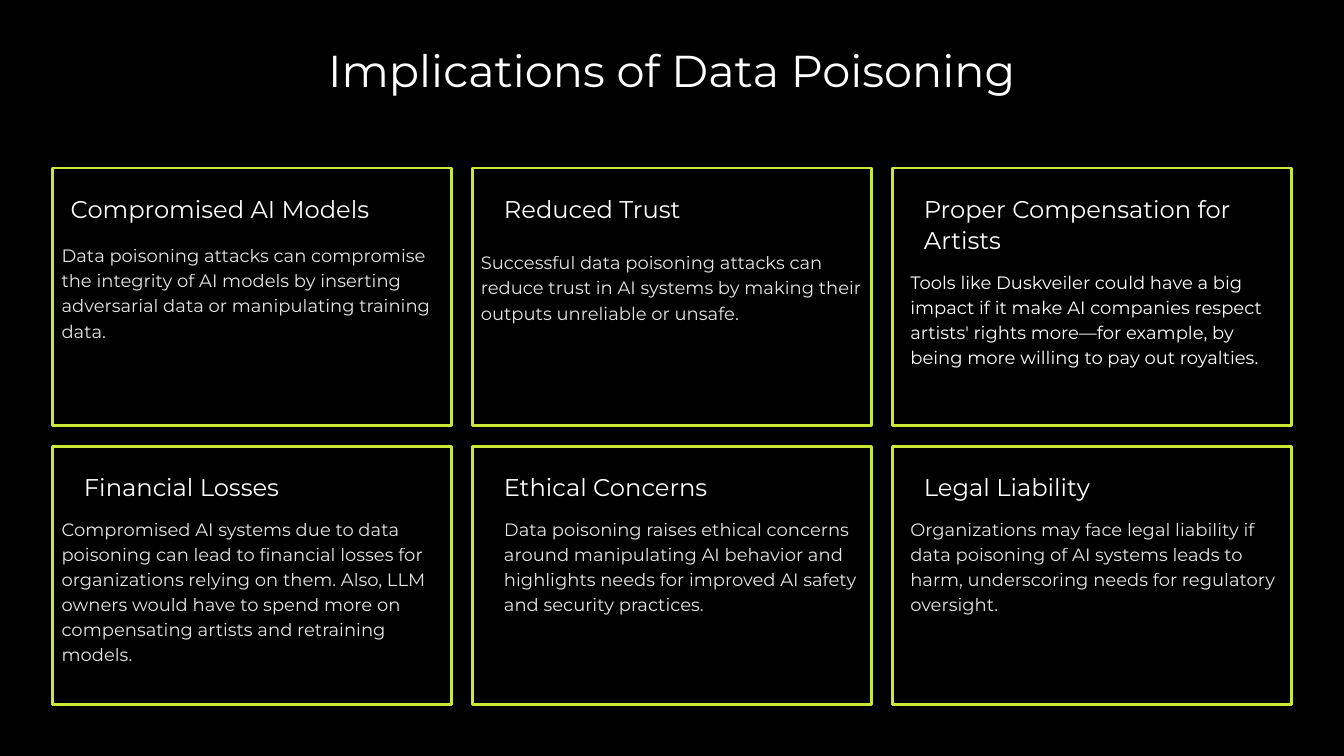
import pptx
import pptx.dml.color
import pptx.enum.shapes
import pptx.enum.text
import pptx.oxml
import pptx.oxml.ns
import pptx.util

Pt = pptx.util.Pt
FONT = "Montserrat"
COLORS = {"background": "000000", "text": "FFFFFF", "border": "CBE636"}

# Card grid
LEFT, TOP = 37.5, 120
CARD_W, CARD_H, GAP = 285, 184, 15
COLUMNS = 3
TEXT_W = 272
HEADING_Y = 17.5
HEADING_LINE, BODY_LINE = 21.9, 17.9

# Heading, heading indent, heading lines, body, body offset, body width, lines, opacity
CARDS = [
    ("Compromised AI Models", 13, 1,
     "Data poisoning attacks can compromise the integrity of AI models by "
     "inserting adversarial data or manipulating training data.",
     (6.5, 52.5), TEXT_W, 4, 90),
    ("Reduced Trust", 22.5, 1,
     "Successful data poisoning attacks can reduce trust in AI systems by "
     "making their outputs unreliable or unsafe.",
     (6, 57.5), TEXT_W, 3, 90),
    ("Proper Compensation for Artists", 22.5, 2,
     "Tools like Duskveiler could have a big impact if it make AI companies "
     "respect artists' rights more—for example, by being more willing to pay "
     "out royalties.",
     (12.75, 71.25), 258.5, 4, 100),
    ("Financial Losses", 22.5, 1,
     "Compromised AI systems due to data poisoning can lead to financial "
     "losses for organizations relying on them. Also, LLM owners would have "
     "to spend more on compensating artists and retraining models.",
     (6.5, 49), TEXT_W, 6, 90),
    ("Ethical Concerns", 22.5, 1,
     "Data poisoning raises ethical concerns around manipulating AI behavior "
     "and highlights needs for improved AI safety and security practices.",
     (22.5, 49), TEXT_W, 4, 90),
    ("Legal Liability", 22.5, 1,
     "Organizations may face legal liability if data poisoning of AI systems "
     "leads to harm, underscoring needs for regulatory oversight.",
     (12.75, 49), TEXT_W, 4, 90),
]


def rgb(name):
    return pptx.dml.color.RGBColor.from_string(COLORS[name])


def set_opacity(r, percent):
    color = r._r.get_or_add_rPr().find(".//" + pptx.oxml.ns.qn("a:srgbClr"))
    color.append(pptx.oxml.parse_xml(
        f'<a:alpha {pptx.oxml.ns.nsdecls("a")} val="{percent * 1000}"/>'))


def write_text(sp, text, size, line, align="LEFT", opacity=100):
    tf = sp.text_frame
    tf.margin_left = tf.margin_top = tf.margin_right = tf.margin_bottom = 0
    tf.auto_size = pptx.enum.text.MSO_AUTO_SIZE.NONE
    tf.vertical_anchor = pptx.enum.text.MSO_ANCHOR.TOP
    tf.word_wrap = True
    tf.text = text
    p = tf.paragraphs[0]
    p.alignment = getattr(pptx.enum.text.PP_ALIGN, align)
    p.line_spacing = Pt(line)
    p.space_before = Pt(0)
    r = p.runs[0]
    r.font.name = FONT
    r.font.size = Pt(size)
    r.font.color.rgb = rgb("text")
    if opacity < 100:
        set_opacity(r, opacity)


def add_title(s, text):
    sp = s.shapes.title
    sp.left, sp.top, sp.width, sp.height = Pt(0), Pt(28.8), Pt(960), Pt(40.2)
    write_text(sp, text, 31.9, 40.2, "CENTER")


def add_text(s, x, y, w, lines, text, size, line, opacity=100):
    sp = s.shapes.add_textbox(Pt(x), Pt(y), Pt(w), Pt(lines * line))
    write_text(sp, text, size, line, opacity=opacity)


def add_frame(s, x, y):
    sp = s.shapes.add_shape(pptx.enum.shapes.MSO_SHAPE.RECTANGLE,
                            Pt(x), Pt(y), Pt(CARD_W), Pt(CARD_H))
    sp.shadow.inherit = False
    sp.fill.background()
    sp.line.color.rgb = rgb("border")
    sp.line.width = Pt(2)


def add_card(s, x, y, card):
    heading, indent, heading_lines, body, (dx, dy), width, lines, opacity = card
    add_frame(s, x, y)
    add_text(s, x + indent, y + HEADING_Y, TEXT_W, heading_lines,
             heading, 17.3, HEADING_LINE)
    add_text(s, x + dx, y + dy, width, lines, body, 12.8, BODY_LINE, opacity)


def main():
    prs = pptx.Presentation()
    prs.slide_width, prs.slide_height = Pt(960), Pt(540)
    s = prs.slides.add_slide(prs.slide_layouts.get_by_name("Title Only"))
    s.background.fill.solid()
    s.background.fill.fore_color.rgb = rgb("background")

    add_title(s, "Implications of Data Poisoning")

    # Six cards, filled row by row
    for i, card in enumerate(CARDS):
        row, col = divmod(i, COLUMNS)
        add_card(s, LEFT + col * (CARD_W + GAP), TOP + row * (CARD_H + GAP), card)

    prs.save("out.pptx")


if __name__ == "__main__":
    main()
